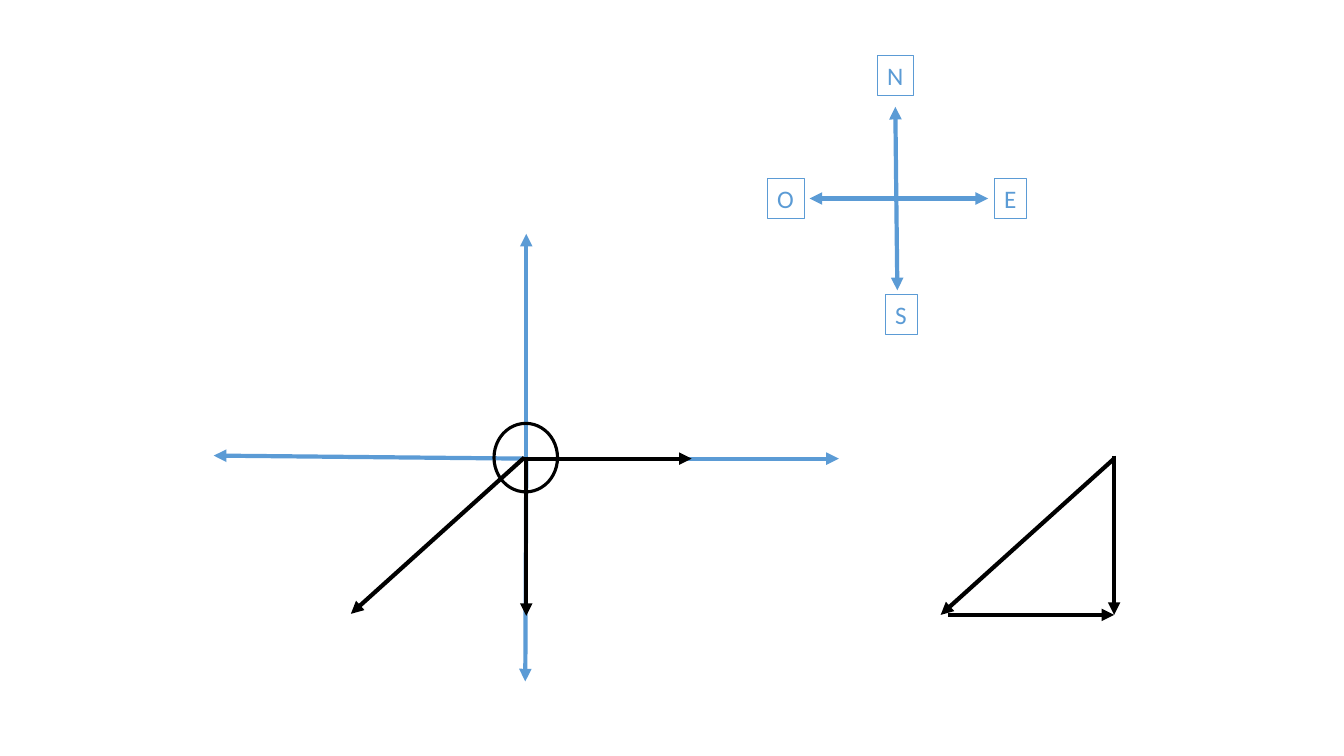
import pptx
import pptx.util
import pptx.dml.color
import pptx.enum.shapes
import pptx.enum.text
import pptx.oxml.ns
import lxml.etree

BLUE = pptx.dml.color.RGBColor(0x5B, 0x9B, 0xD5)
BLACK = pptx.dml.color.RGBColor(0, 0, 0)
Inches = pptx.util.Inches
Pt = pptx.util.Pt

deck = pptx.Presentation()
deck.slide_width = Inches(13.33)
deck.slide_height = Inches(7.5)
slide = deck.slides.add_slide(deck.slide_layouts[6])


def add_arrow(start, shift, color):
    """Draw an arrow from start, displaced by shift, in inches."""
    x, y = start
    dx, dy = shift
    arrow = slide.shapes.add_connector(
        pptx.enum.shapes.MSO_CONNECTOR.STRAIGHT,
        Inches(x), Inches(y), Inches(x + dx), Inches(y + dy))
    arrow.line.color.rgb = color
    arrow.line.width = Pt(3)
    qn = pptx.oxml.ns.qn
    lxml.etree.SubElement(arrow.line._get_or_add_ln(), qn("a:tailEnd"), type="triangle")
    lxml.etree.SubElement(arrow._element.spPr, qn("a:effectLst"))


# Main axes
origin = (5.22, 4.55)
for reach in [(0, -2.23), (3.1, 0), (-3.1, -0.03), (-0.01, 2.21)]:
    add_arrow(origin, reach, BLUE)

# Compass rose
compass = (8.89, 1.97)
for reach in [(0.91, 0), (-0.01, -0.91), (0.01, 0.91), (-0.86, 0)]:
    add_arrow(compass, reach, BLUE)

# Compass letters: left, top, width
for letter, left, top, width in [("N", 8.7, 0.55, 0.36), ("S", 8.78, 2.92, 0.32),
                                 ("O", 7.61, 1.77, 0.37), ("E", 9.86, 1.77, 0.32)]:
    label = slide.shapes.add_textbox(Inches(left), Inches(top), Inches(width), Inches(0.4))
    label.line.color.rgb = BLUE
    label.line.width = Pt(0.75)
    frame = label.text_frame
    frame.word_wrap = False
    frame.auto_size = pptx.enum.text.MSO_AUTO_SIZE.SHAPE_TO_FIT_TEXT
    frame.text = letter
    font = frame.paragraphs[0].runs[0].font
    font.name = "Calibri"
    font.size = Pt(18)
    font.color.rgb = BLUE

# Vectors: east, south and south-west, in the triangle and at the origin
east, south, southwest = (1.65, 0), (0, 1.58), (-1.72, 1.55)
for start, vector in [((9.4, 6.1), east), ((11.05, 4.52), south), ((11.05, 4.55), southwest),
                      ((5.21, 4.55), east), ((5.22, 4.53), south), ((5.2, 4.54), southwest)]:
    add_arrow(start, vector, BLACK)

# Body at the origin
body = slide.shapes.add_shape(pptx.enum.shapes.MSO_SHAPE.OVAL,
                              Inches(4.9), Inches(4.2), Inches(0.63), Inches(0.68))
body.shadow.inherit = False
body.fill.background()
body.line.color.rgb = BLACK
body.line.width = Pt(2.25)

deck.save("out.pptx")
